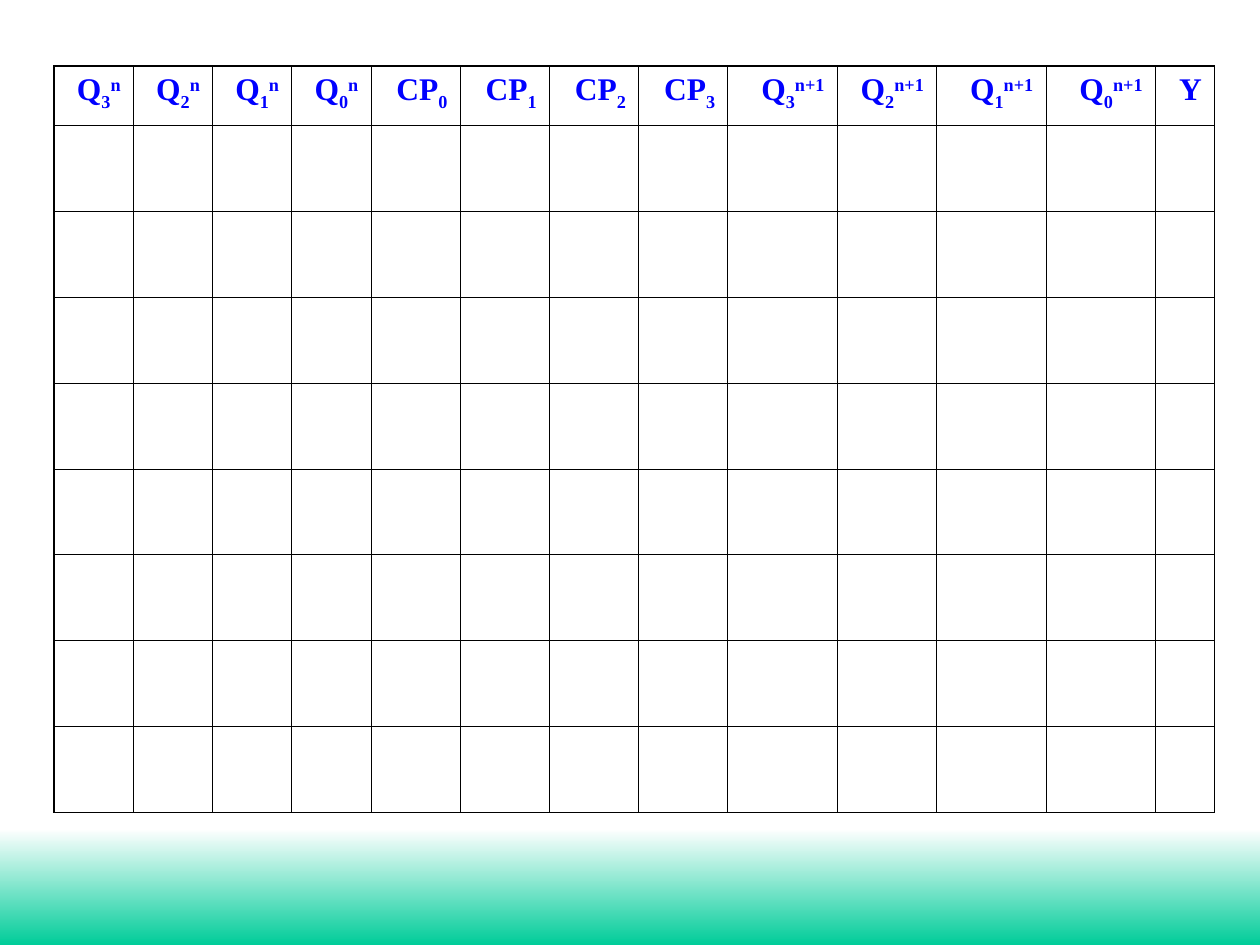
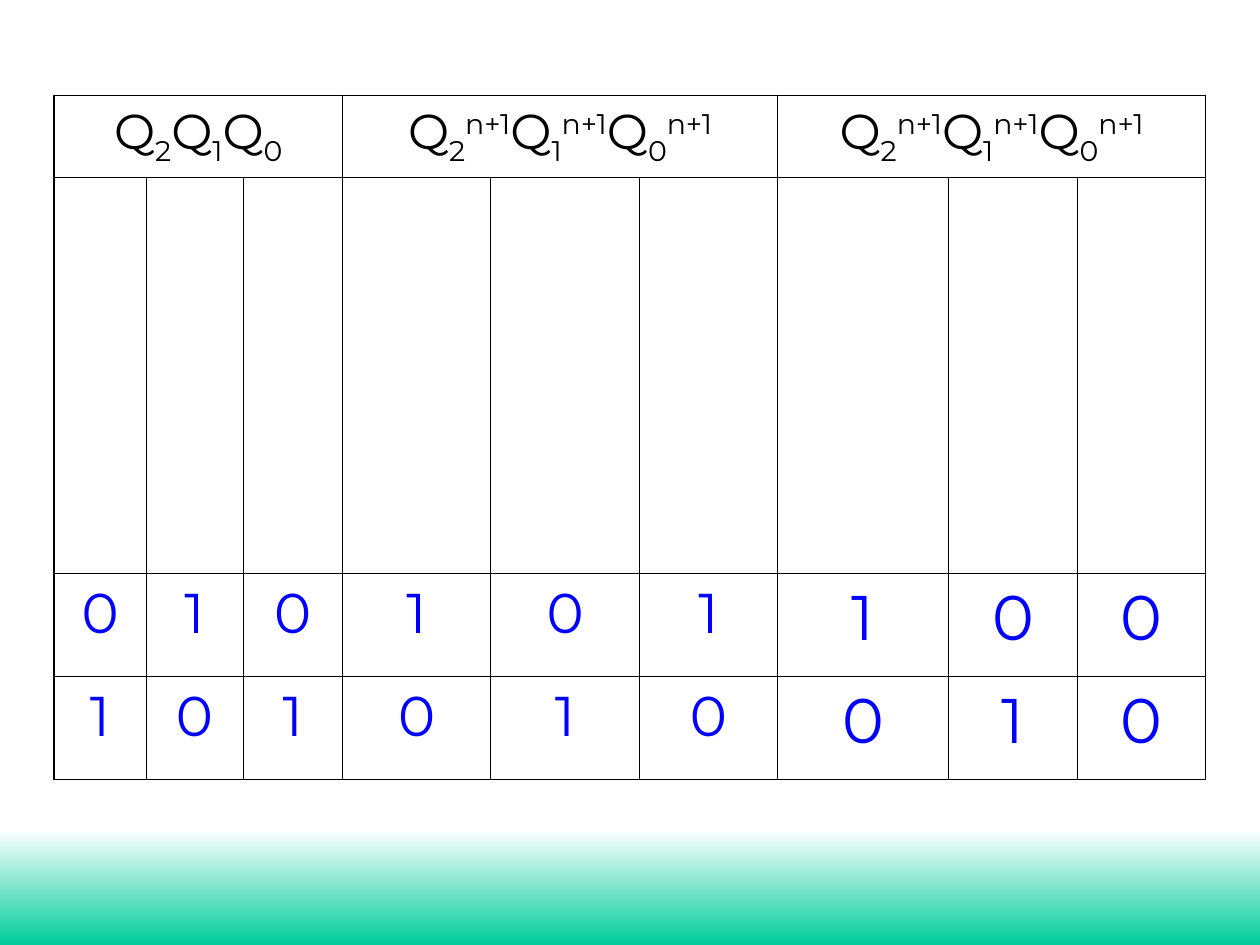
from dataclasses import dataclass

from lxml import etree
from pptx import Presentation, util as u
from pptx.dml.color import RGBColor
from pptx.enum import shapes, text
from pptx.oxml import ns


@dataclass(frozen=True)
class Theme:
    ink: str = "000000"
    blue: str = "0000FF"
    paper: str = "FFFFFF"
    green: str = "00CC99"
    serif: str = "Times New Roman"
    sans: str = "Montserrat"
    label: int = 18
    head: int = 28
    digit: int = 32
    large: int = 36
    inner: float = 0.45
    outer: float = 1.08


T = Theme()
WIDE, HIGH = u.Inches(10), u.Inches(7.5)
SUB, SUP = -25, 30
RIGHT, MID = text.PP_ALIGN.RIGHT, text.PP_ALIGN.CENTER


def scale(box):
    """Turn shares of the slide into lengths."""
    return [round(part * side) for part, side in zip(box, (WIDE, HIGH) * 2)]


def split(total, parts):
    """Divide a length in proportion to the parts."""
    return [round(total * part / sum(parts)) for part in parts]


def state(digit, power=""):
    """Runs of a flip-flop output, as (text, baseline shift) pairs."""
    return [("Q", 0), (digit, SUB)] + ([(power, SUP)] if power else [])


def states(digits, power=""):
    return [run for digit in digits for run in state(digit, power)]


def add_band(slide, box):
    band = slide.shapes.add_shape(shapes.MSO_SHAPE.RECTANGLE, *scale(box))
    band.shadow.inherit = False
    band.line.fill.background()
    band.fill.gradient()
    band.fill.gradient_angle = 270
    for stop, color, place in zip(band.fill.gradient_stops, (T.paper, T.green), (0, 1)):
        stop.color.rgb = RGBColor.from_string(color)
        stop.position = place


def rule_cell(cell, edges):
    """Draw the borders of a cell; edges tells which sides lie on the outline."""
    props = cell._tc.get_or_add_tcPr()
    for side, edge in zip("LRTB", edges):
        width = u.Pt(T.outer if edge else T.inner)
        line = etree.SubElement(props, ns.qn(f"a:ln{side}"), w=str(width))
        fill = etree.SubElement(line, ns.qn("a:solidFill"))
        etree.SubElement(fill, ns.qn("a:srgbClr"), val=T.ink)
    cell.fill.background()


def add_grid(slide, box, cols, rows):
    """Add an empty ruled table; cols and rows are relative sizes."""
    left, top, width, height = scale(box)
    grid = slide.shapes.add_table(len(rows), len(cols), left, top, width, height).table
    grid.first_row = grid.horz_banding = False
    for col, size in zip(grid.columns, split(width, cols)):
        col.width = size
    for row, size in zip(grid.rows, split(height, rows)):
        row.height = size
    for y in range(len(rows)):
        for x in range(len(cols)):
            edges = (x == 0, x == len(cols) - 1, y == 0, y == len(rows) - 1)
            rule_cell(grid.cell(y, x), edges)
    return grid


def write(cell, runs, face, size, color, align, bold=False):
    para = cell.text_frame.paragraphs[0]
    para.alignment = align
    for words, shift in runs:
        run = para.add_run()
        run.text = words
        run.font.name, run.font.size, run.font.bold = face, u.Pt(size), bold
        run.font.color.rgb = RGBColor.from_string(color)
        if shift:
            run._r.get_or_add_rPr().set("baseline", str(shift * 1000))


def fill_clock(slide, box):
    """State table with clock columns, left blank below its head."""
    cols = [63] * 4 + [71] * 4 + [87, 79, 87, 87, 47]
    grid = add_grid(slide, box, cols, [47] + [68.3] * 8)
    labels = [state(d, "n") for d in "3210"]
    labels += [[("CP", 0), (d, SUB)] for d in "0123"]
    labels += [state(d, "n+1") for d in "3210"] + [[("Y", 0)]]
    for x, label in enumerate(labels):
        write(grid.cell(0, x), label, T.serif, T.label, T.blue, RIGHT, True)


def fill_check(slide, box):
    """Table of unused states under three merged heads."""
    cols = [73, 77, 79, 118, 118, 110, 136, 102, 102]
    grid = add_grid(slide, box, cols, [65, 314, 82, 82])
    for group, power in enumerate(("", "n+1", "n+1")):
        head = grid.cell(0, group * 3)
        head.merge(grid.cell(0, group * 3 + 2))
        write(head, states("210", power), T.sans, T.head, T.ink, MID)
    for y, digits in enumerate(("010101100", "101010010"), 2):
        for x, digit in enumerate(digits):
            size = T.digit if x < 6 else T.large
            write(grid.cell(y, x), [(digit, 0)], T.sans, size, T.blue, MID)


def main():
    deck = Presentation()
    deck.slide_width, deck.slide_height = WIDE, HIGH
    pages = (
        (fill_clock, (0.043, 0.07, 0.921, 0.79)),
        (fill_check, (0.043, 0.101, 0.914, 0.724)),
    )
    for fill, box in pages:
        slide = deck.slides.add_slide(deck.slide_layouts[6])
        add_band(slide, (0, 0.877, 1, 0.123))
        fill(slide, box)
    deck.save("out.pptx")


if __name__ == "__main__":
    main()
